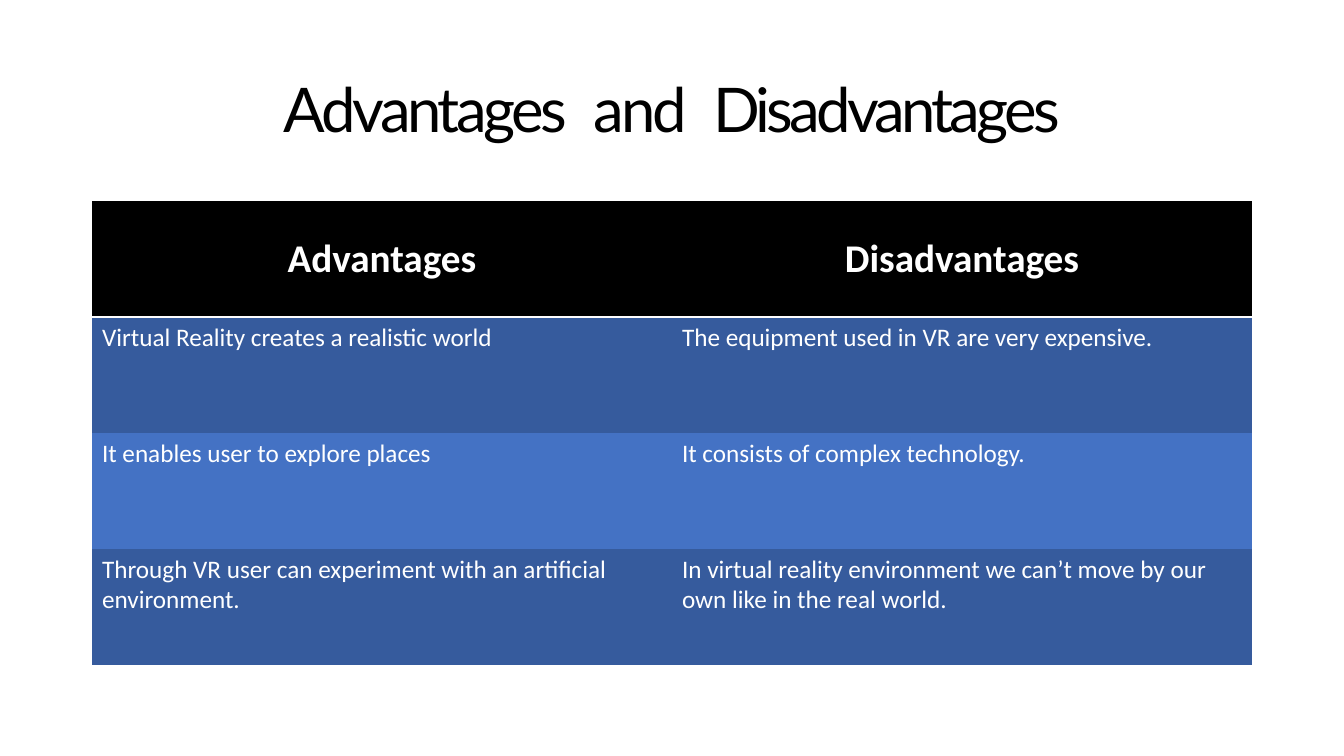
from lxml import etree
from pptx import Presentation, util as u
from pptx.dml.color import RGBColor
from pptx.enum import text
from pptx.oxml import ns

SCALE = 914400 / 100.8


def px(length):
    return u.Emu(round(length * SCALE))


def add_run(paragraph, words, font, size, color, bold=False):
    run = paragraph.add_run()
    run.text = words
    run.font.name = font
    run.font.size = u.Pt(size)
    run.font.bold = bold
    run.font.color.rgb = RGBColor.from_string(color)
    return run


presentation = Presentation()
presentation.slide_width = px(1344)
presentation.slide_height = px(756)
slide = presentation.slides.add_slide(presentation.slide_layouts[5])

title = slide.shapes.title
title.left, title.top, title.width, title.height = px(92), px(40), px(1160), px(146)
title.text_frame.word_wrap = True
title.text_frame.auto_size = text.MSO_AUTO_SIZE.NONE
title.text_frame.vertical_anchor = text.MSO_ANCHOR.MIDDLE
heading = title.text_frame.paragraphs[0]
heading.alignment = text.PP_ALIGN.CENTER
heading.line_spacing = 0.9
title_runs = [
    ("Advantages", -250),
    (" ", 750),
    ("and", -230),
    (" ", 750),
    ("Disadvantages", -270),
]
for words, spacing in title_runs:
    run = add_run(heading, words, "Lato", 44, "000000")
    run.font._element.set("spc", str(spacing))

rows = [
    ("Advantages", "Disadvantages"),
    ("Virtual Reality creates a realistic world",
     "The equipment used in VR are very expensive."),
    ("It enables user to explore places",
     "It consists of complex technology."),
    ("Through VR user can experiment with an artificial environment.",
     "In virtual reality environment we can’t move by our own like in the real world."),
]
row_fills = ["000000", "365B9D", "4472C4", "365B9D"]

frame = slide.shapes.add_table(len(rows), 2, px(92), px(201), px(1160), px(464))
table = frame.table
table_style = table._tbl.tblPr.find(ns.qn("a:tableStyleId"))
table_style.text = "{2D5ABB26-0587-4C30-8999-92F81FD0307C}"
for column in table.columns:
    column.width = px(580)

for row_index, (row, fill) in enumerate(zip(rows, row_fills)):
    table.rows[row_index].height = px(116)
    is_header = row_index == 0
    for column_index, words in enumerate(row):
        cell = table.cell(row_index, column_index)
        paragraph = cell.text_frame.paragraphs[0]
        add_run(paragraph, words, "Calibri", 28 if is_header else 18, "FFFFFF", is_header)
        if is_header:
            paragraph.alignment = text.PP_ALIGN.CENTER
            cell.vertical_anchor = text.MSO_ANCHOR.MIDDLE
            border = etree.SubElement(
                cell._tc.get_or_add_tcPr(), ns.qn("a:lnB"), w=str(u.Pt(2)))
            border_fill = etree.SubElement(border, ns.qn("a:solidFill"))
            etree.SubElement(border_fill, ns.qn("a:srgbClr"), val="FFFFFF")
        cell.fill.solid()
        cell.fill.fore_color.rgb = RGBColor.from_string(fill)

presentation.save("out.pptx")
